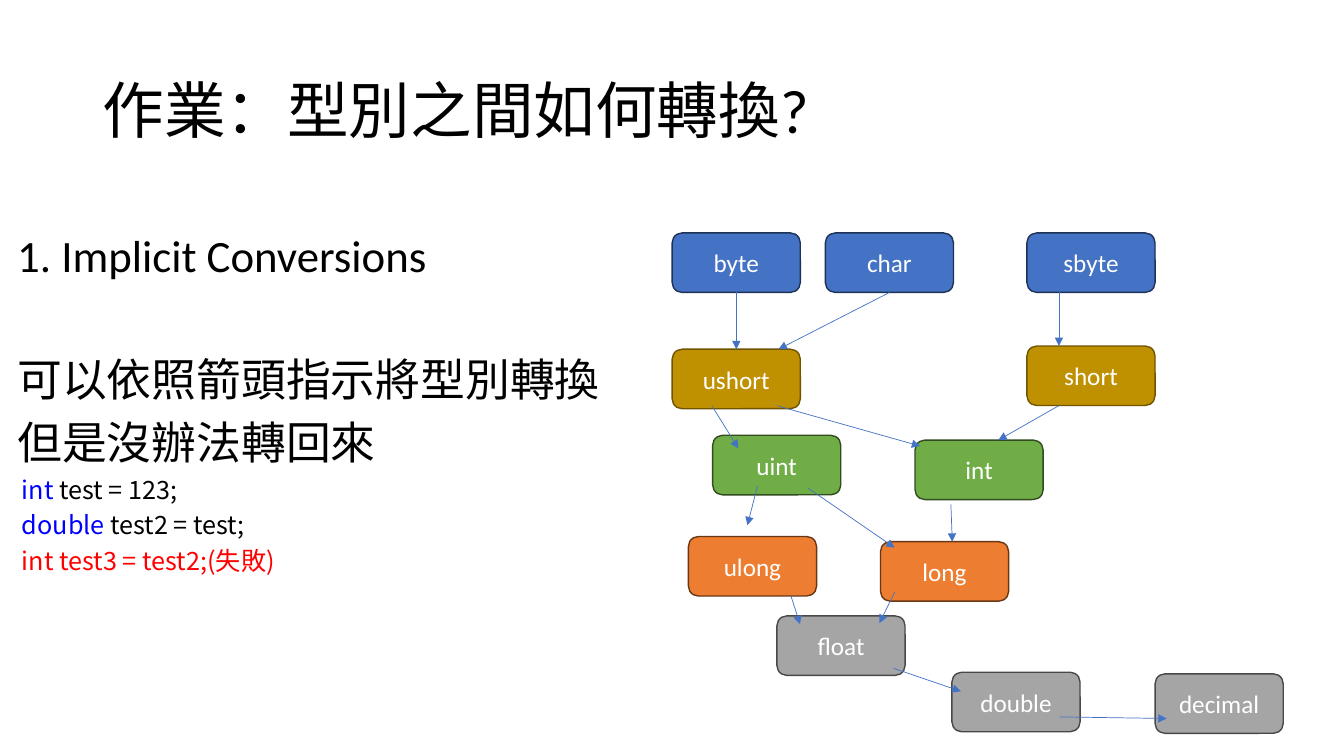
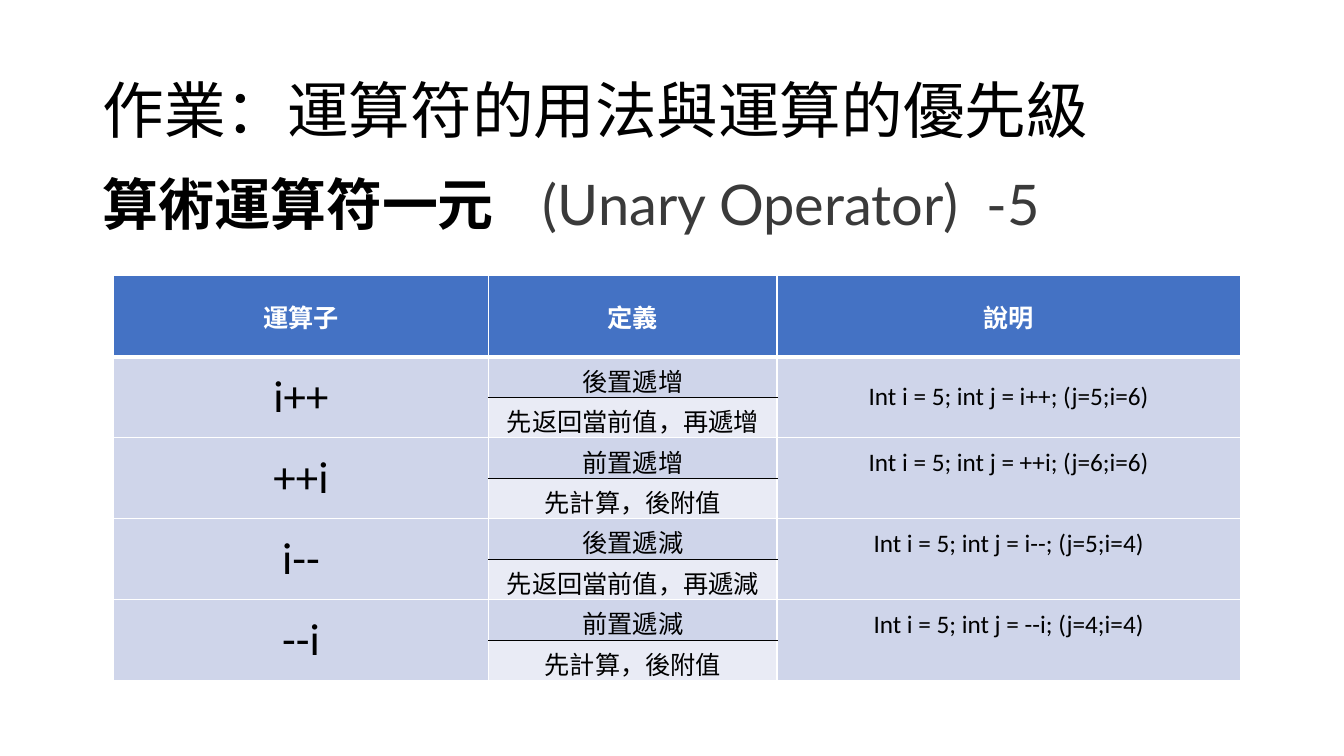
from dataclasses import dataclass

from lxml.etree import SubElement
from pptx import Presentation
from pptx.dml.color import RGBColor
from pptx.enum.shapes import MSO_CONNECTOR, MSO_SHAPE
from pptx.enum.text import MSO_ANCHOR, MSO_AUTO_SIZE, PP_ALIGN
from pptx.oxml.ns import qn
from pptx.util import Cm, Pt


@dataclass(frozen=True)
class Theme:
    font: str = "Calibri"
    code_font: str = "Noto Sans CJK TC"
    accent_font: str = "Lato"
    title_size: int = 44
    subtitle_size: int = 40
    large_size: int = 32
    normal_size: int = 18
    black: str = "000000"
    white: str = "FFFFFF"
    gray_text: str = "3A3A3A"
    keyword: str = "0000FF"
    error: str = "FF0000"
    blue: str = "4472C4"
    band_dark: str = "CFD5EA"
    band_light: str = "E9EBF5"


THEME = Theme()
TITLE_BOX = (2.33, 1.02, 29.21, 3.68)
BODY_BOX = (0.18, 5.77, 29.21, 12.09)
DIAGRAM_ORIGIN = (16.94, 5.87)
SUBTITLE_BOX = (2.33, 4.14, 28.4, 1.96)
TABLE_ORIGIN = (2.85, 6.95)

NODE_SIZE = (3.23, 1.5)
# Each level: fill, outline and the offsets of its types within the diagram.
LEVELS = [
    (THEME.blue, "1E3256", {"byte": (0, 0), "char": (3.86, 0), "sbyte": (8.94, 0)}),
    ("BF9000", "705400", {"ushort": (0, 2.93), "short": (8.94, 2.85)}),
    ("70AD47", "314C1F", {"uint": (1.02, 5.1), "int": (6.12, 5.22)}),
    ("ED7D31", "683715", {"ulong": (0.41, 7.65), "long": (5.25, 7.78)}),
    ("A5A5A5", "484848",
     {"float": (2.64, 9.65), "double": (7.05, 11.07), "decimal": (12.17, 11.11)}),
]
# Ends of an arrow are fractions of the width and height of their boxes.
CONVERSIONS = [
    ("byte", (0.5, 1), "ushort", (0.5, 0)),
    ("char", (0.5, 1), "ushort", (0.83, 0)),
    ("sbyte", (0.25, 1), "short", (0.25, 0)),
    ("short", (0.25, 1), "int", (0.65, 0)),
    ("ushort", (0.82, 0.95), "int", (0.04, 0.1)),
    ("ushort", (0.31, 0.95), "uint", (0.2, 0.22)),
    ("uint", (0.35, 0.85), "ulong", (0.46, -0.19)),
    ("uint", (0.74, 0.88), "long", (0.11, 0.1)),
    ("int", (0.28, 1.08), "long", (0.56, 0)),
    ("ulong", (0.8, 1), "float", (0.18, 0.14)),
    ("long", (0.11, 0.85), "float", (0.8, 0.12)),
    ("float", (0.91, 0.88), "double", (0.07, 0.32)),
    ("double", (0.84, 0.75), "decimal", (0.09, 0.75)),
]
CONNECTION_SITES = {(0.5, 0): 0, (0, 0.5): 1, (0.5, 1): 2, (1, 0.5): 3}

STATEMENTS = ["1. Implicit Conversions", "可以依照箭頭指示將型別轉換", "但是沒辦法轉回來"]
CODE_LINES = [
    [("int", THEME.keyword), (" test = 123;", THEME.black)],
    [("double", THEME.keyword), (" test2 = test;", THEME.black)],
    [("int test3 = test2;(失敗)", THEME.error)],
]

COLUMN_WIDTHS = (9.47, 7.26, 11.68)
HEADER_HEIGHT, ROW_HEIGHT = 2.04, 1.02
HEADINGS = ("運算子", "定義", "說明")
OPERATORS = [
    ("i++", "後置遞增", "先返回當前值，再遞增", "Int i = 5; int j = i++; (j=5;i=6)"),
    ("++i", "前置遞增", "先計算，後附值", "Int i = 5; int j = ++i; (j=6;i=6)"),
    ("i--", "後置遞減", "先返回當前值，再遞減", "Int i = 5; int j = i--; (j=5;i=4)"),
    ("--i", "前置遞減", "先計算，後附值", "Int i = 5; int j = --i; (j=4;i=4)"),
]


def set_font(font, size, color=THEME.black, name=THEME.font, bold=False):
    font.size, font.name, font.bold = Pt(size), name, bold
    font.color.rgb = RGBColor.from_string(color)


def place(shape, box):
    shape.left, shape.top, shape.width, shape.height = map(Cm, box)


def add_titled_slide(presentation, layout_index, title):
    slide = presentation.slides.add_slide(presentation.slide_layouts[layout_index])
    shape = slide.shapes.title
    place(shape, TITLE_BOX)
    shape.text_frame.text = title
    shape.text_frame.vertical_anchor = MSO_ANCHOR.MIDDLE
    paragraph = shape.text_frame.paragraphs[0]
    paragraph.alignment, paragraph.line_spacing = PP_ALIGN.LEFT, 0.9
    set_font(paragraph.font, THEME.title_size)
    return slide


def set_plain_paragraph(paragraph, indent, space_before):
    """Turn the bullet off and set the spacing."""
    properties = paragraph._p.get_or_add_pPr()
    properties.set("marL", str(Cm(indent)))
    properties.set("indent", "0")
    SubElement(properties, qn("a:buNone"))
    paragraph.line_spacing, paragraph.space_before = 0.9, Pt(space_before)


def fill_body(shape, box):
    place(shape, box)
    frame = shape.text_frame
    frame.auto_size = MSO_AUTO_SIZE.NONE
    frame.text = "\n".join(STATEMENTS)
    for paragraph, space_before in zip(frame.paragraphs, (10, 54, 10)):
        set_plain_paragraph(paragraph, 0, space_before)
        set_font(paragraph.font, THEME.large_size)
    for pieces in CODE_LINES:
        paragraph = frame.add_paragraph()
        set_plain_paragraph(paragraph, 0.12, 6)
        for text, color in pieces:
            run = paragraph.add_run()
            run.text = text
            set_font(run.font, THEME.normal_size, color, THEME.code_font)


def add_node(slide, name, box, fill, outline):
    node = slide.shapes.add_shape(MSO_SHAPE.ROUNDED_RECTANGLE, *map(Cm, box))
    node.shadow.inherit = False
    node.fill.solid()
    node.fill.fore_color.rgb = RGBColor.from_string(fill)
    node.line.color.rgb = RGBColor.from_string(outline)
    node.line.width = Pt(1)
    node.text_frame.text = name
    node.text_frame.vertical_anchor = MSO_ANCHOR.MIDDLE
    paragraph = node.text_frame.paragraphs[0]
    paragraph.alignment = PP_ALIGN.CENTER
    set_font(paragraph.font, THEME.normal_size, THEME.white)
    return node


def point_on(node, fraction):
    return (node.left + round(node.width * fraction[0]),
            node.top + round(node.height * fraction[1]))


def add_arrow(slide, source, start, target, end):
    arrow = slide.shapes.add_connector(
        MSO_CONNECTOR.STRAIGHT, *point_on(source, start), *point_on(target, end))
    if start in CONNECTION_SITES:
        arrow.begin_connect(source, CONNECTION_SITES[start])
    if end in CONNECTION_SITES:
        arrow.end_connect(target, CONNECTION_SITES[end])
    arrow.line.color.rgb = RGBColor.from_string(THEME.blue)
    arrow.line.width = Pt(0.5)
    SubElement(arrow.line._get_or_add_ln(), qn("a:tailEnd"), type="triangle")
    SubElement(arrow._element.spPr, qn("a:effectLst"))


def add_conversion_diagram(slide, origin):
    left, top = origin
    nodes = {}
    for fill, outline, types in LEVELS:
        for name, (x, y) in types.items():
            box = (left + x, top + y, *NODE_SIZE)
            nodes[name] = add_node(slide, name, box, fill, outline)
    for source, start, target, end in CONVERSIONS:
        add_arrow(slide, nodes[source], start, nodes[target], end)


def add_subtitle(slide, box):
    frame = slide.shapes.add_textbox(*map(Cm, box)).text_frame
    frame.word_wrap = True
    paragraph = frame.paragraphs[0]
    tabs = SubElement(paragraph._p.get_or_add_pPr(), qn("a:tabLst"))
    for position in (11.1, 22.28):
        SubElement(tabs, qn("a:tab"), pos=str(Cm(position)), algn="l")
    name = paragraph.add_run()
    name.text = "算術運算符一元"
    set_font(name.font, THEME.subtitle_size, bold=True)
    translation = paragraph.add_run()
    translation.text = "\t(Unary Operator)\t-5"
    set_font(translation.font, THEME.subtitle_size, THEME.gray_text, THEME.accent_font)


def format_cell(cell, fill, borders):
    """Set the fill and the borders; borders maps sides to (color, points)."""
    properties = cell._tc.get_or_add_tcPr()
    for side in "LRTB":
        color, points = borders.get(side, (THEME.white, 1))
        line = SubElement(properties, qn(f"a:ln{side}"), w=str(Pt(points)))
        SubElement(SubElement(line, qn("a:solidFill")), qn("a:srgbClr"), val=color)
    cell.fill.solid()
    cell.fill.fore_color.rgb = RGBColor.from_string(fill)
    cell.vertical_anchor = MSO_ANCHOR.MIDDLE


def write_cell(cell, text, size=THEME.normal_size, color=THEME.black, bold=False):
    cell.text = text
    paragraph = cell.text_frame.paragraphs[0]
    paragraph.alignment = PP_ALIGN.CENTER
    set_font(paragraph.font, size, color, bold=bold)


def add_operator(table, row, operator, meaning, rule, example):
    """Fill the two table rows that describe one operator."""
    divider = (THEME.black, 1)
    for column in range(3):
        is_split = column == 1
        lower_fill = THEME.band_light if is_split else THEME.band_dark
        format_cell(table.cell(row, column), THEME.band_dark,
                    {"B": divider} if is_split else {})
        format_cell(table.cell(row + 1, column), lower_fill,
                    {"T": divider} if is_split else {})
        if not is_split:
            table.cell(row, column).merge(table.cell(row + 1, column))
    write_cell(table.cell(row, 0), operator, THEME.large_size)
    write_cell(table.cell(row, 1), meaning)
    write_cell(table.cell(row + 1, 1), rule)
    write_cell(table.cell(row, 2), example)
    if row > 1:
        table.cell(row, 2).margin_bottom = Cm(0.9)


def add_operator_table(slide, origin):
    row_heights = [HEADER_HEIGHT] + [ROW_HEIGHT] * (2 * len(OPERATORS))
    size = (sum(COLUMN_WIDTHS), sum(row_heights))
    table = slide.shapes.add_table(
        len(row_heights), len(HEADINGS), *map(Cm, (*origin, *size))).table
    table.horz_banding = False
    for column, width in zip(table.columns, COLUMN_WIDTHS):
        column.width = Cm(width)
    for row, height in zip(table.rows, row_heights):
        row.height = Cm(height)
    for cell, heading in zip(table.rows[0].cells, HEADINGS):
        format_cell(cell, THEME.blue, {"B": (THEME.white, 3)})
        write_cell(cell, heading, color=THEME.white, bold=True)
    for index, operator in enumerate(OPERATORS):
        add_operator(table, 1 + 2 * index, *operator)


def build_conversion_slide(presentation):
    slide = add_titled_slide(presentation, 1, "作業：型別之間如何轉換?")
    fill_body(slide.placeholders[1], BODY_BOX)
    add_conversion_diagram(slide, DIAGRAM_ORIGIN)


def build_operator_slide(presentation):
    slide = add_titled_slide(presentation, 5, "作業：運算符的用法與運算的優先級")
    add_subtitle(slide, SUBTITLE_BOX)
    add_operator_table(slide, TABLE_ORIGIN)


def main():
    presentation = Presentation()
    presentation.slide_width, presentation.slide_height = Cm(33.87), Cm(19.05)
    build_conversion_slide(presentation)
    build_operator_slide(presentation)
    presentation.save("out.pptx")


if __name__ == "__main__":
    main()
